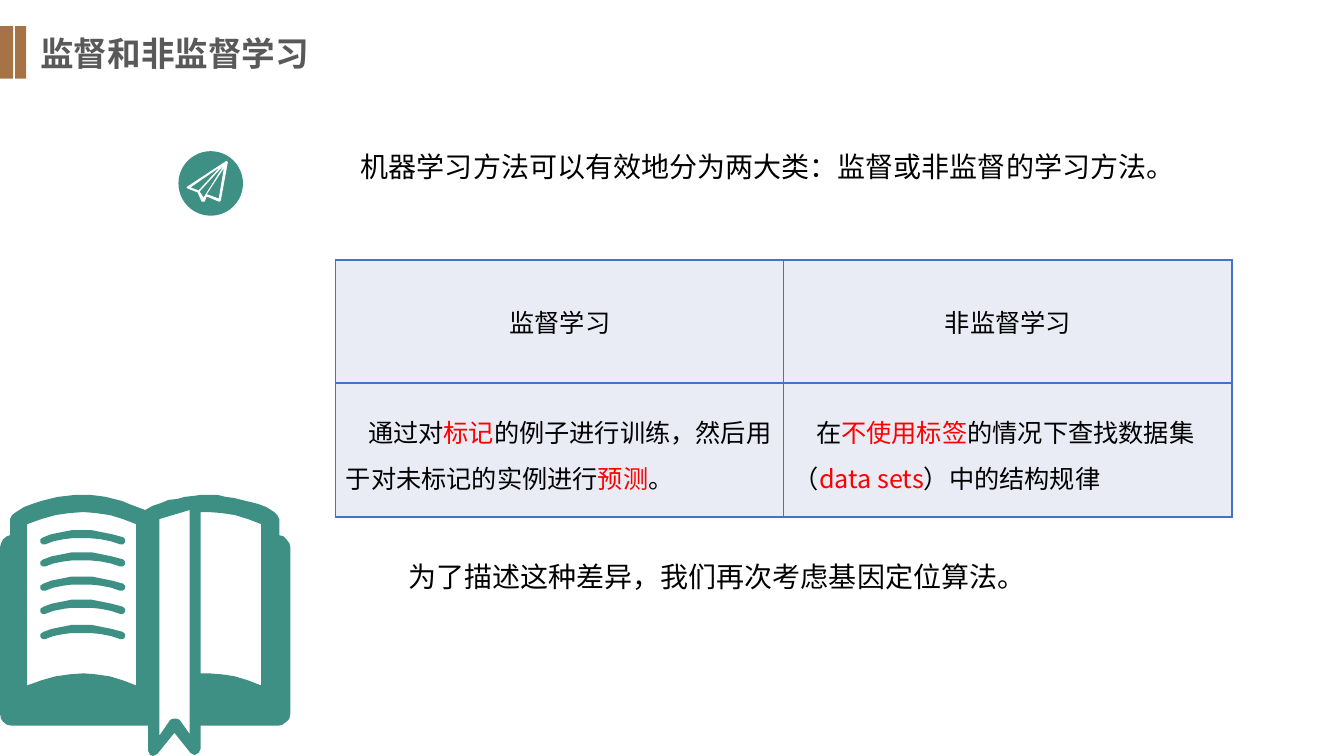
from dataclasses import dataclass

from lxml.etree import SubElement
from pptx import Presentation
from pptx.dml.color import RGBColor
from pptx.enum.shapes import MSO_SHAPE
from pptx.enum.text import MSO_ANCHOR, MSO_AUTO_SIZE, PP_ALIGN
from pptx.oxml.ns import qn
from pptx.util import Inches, Pt


@dataclass(frozen=True)
class Theme:
    font: str = "Noto Sans CJK SC"
    teal: str = "3E8F84"
    brown: str = "A67346"
    title: str = "595959"
    text: str = "000000"
    accent: str = "FF0000"
    border: str = "4472C4"
    cell: str = "E9EBF5"
    white: str = "FFFFFF"
    title_size: int = 24
    body_size: int = 20
    cell_size: int = 18


THEME = Theme()
HUNDREDTH = Inches(0.01)


def color(value):
    return RGBColor.from_string(value)


def paint(shape, fill):
    shape.shadow.inherit = False
    shape.fill.solid()
    shape.fill.fore_color.rgb = color(fill)
    shape.line.fill.background()


def style(paragraph, size, ink=THEME.text, bold=False, indent=0, spacing=None):
    font = paragraph.font
    font.name, font.size, font.bold = THEME.font, Pt(size), bold
    font.color.rgb = color(ink)
    properties = paragraph._p.get_or_add_pPr()
    SubElement(properties.find(qn("a:defRPr")), qn("a:ea"), typeface=THEME.font)
    properties.set("indent", str(Inches(indent)))
    properties.set("marL", "0")
    paragraph.line_spacing = spacing


def draw_outline(slide, left, top, contours, fill):
    first, *others = contours
    builder = slide.shapes.build_freeform(*first[0], scale=HUNDREDTH)
    builder.add_line_segments(first[1:], close=True)
    for contour in others:
        builder.move_to(*contour[0])
        builder.add_line_segments(contour[1:], close=True)
    paint(builder.convert_to_shape(Inches(left), Inches(top)), fill)


def add_heading(slide, left, top, height):
    for offset, width in ((0, 0.13), (0.15, 0.11)):
        bar = slide.shapes.add_shape(
            MSO_SHAPE.RECTANGLE, Inches(left + offset), Inches(top), Inches(width), Inches(height))
        paint(bar, THEME.brown)
    heading = slide.shapes.title
    heading.left, heading.top = Inches(left + 0.3), Inches(top + 0.02)
    heading.width, heading.height = Inches(3.3), Inches(0.5)
    frame = heading.text_frame
    frame.text = "监督和非监督学习"
    frame.auto_size = MSO_AUTO_SIZE.NONE
    frame.vertical_anchor = MSO_ANCHOR.TOP
    frame.paragraphs[0].alignment = PP_ALIGN.LEFT
    style(frame.paragraphs[0], THEME.title_size, THEME.title, bold=True)


def add_statement(slide, left, top, width, height, words):
    statement = slide.shapes.add_shape(
        MSO_SHAPE.RECTANGLE, Inches(left), Inches(top), Inches(width), Inches(height))
    statement.shadow.inherit = False
    statement.fill.background()
    statement.line.color.rgb = color(THEME.white)
    statement.line.width = Pt(0.75)
    frame = statement.text_frame
    frame.word_wrap = True
    frame.vertical_anchor = MSO_ANCHOR.TOP
    frame.text = words
    frame.paragraphs[0].alignment = PP_ALIGN.LEFT
    style(frame.paragraphs[0], THEME.body_size, indent=0.99, spacing=1.25)


def add_plane_badge(slide, left, top, diameter):
    badge = slide.shapes.add_shape(
        MSO_SHAPE.OVAL, Inches(left), Inches(top), Inches(diameter), Inches(diameter))
    paint(badge, THEME.teal)
    plane = [
        [(40, 0), (39, 0), (1, 25), (0, 26), (1, 27), (11, 31), (15, 40), (17, 40),
         (18, 40), (20, 35), (32, 40), (33, 40), (34, 39), (41, 1)],
        [(4, 26), (33, 6), (12, 29)],
        [(13, 30), (37, 4), (17, 36)],
        [(32, 37), (21, 33), (20, 33), (37, 7)],
    ]
    draw_outline(slide, left + 0.08, top + 0.1, plane, THEME.white)


def text_line(top):
    upper = [(43, 7), (51, 4), (61, 2), (71, 0), (81, 0), (91, 0), (101, 2), (111, 4), (122, 7),
             (124, 9), (124, 12), (122, 14), (119, 14)]
    lower = [(110, 11), (100, 9), (90, 8), (81, 8), (71, 8), (63, 9), (53, 11), (45, 14),
             (42, 14), (40, 12), (40, 9)]
    return [(x, y + top) for x, y in upper + lower]


def add_book(slide, left, top):
    cover = [
        (277, 40), (281, 41), (284, 44), (287, 48), (288, 52), (288, 217), (287, 222), (284, 225),
        (280, 228), (276, 229), (199, 229), (199, 252), (197, 256), (193, 258), (189, 256),
        (173, 236), (156, 257), (152, 259), (149, 258), (147, 254), (147, 229), (12, 229),
        (7, 228), (3, 225), (1, 222), (0, 217), (0, 52), (1, 48), (3, 44), (7, 41), (10, 40),
        (10, 24), (12, 20), (16, 17), (24, 12), (32, 9), (41, 6), (49, 4), (57, 2), (66, 1),
        (74, 0), (83, 0), (90, 0), (98, 1), (105, 2), (113, 4), (121, 6), (128, 9), (144, 15),
        (151, 11), (160, 8), (167, 5), (176, 4), (183, 2), (192, 1), (199, 0), (207, 0),
        (216, 0), (224, 2), (232, 3), (240, 5), (248, 7), (256, 9), (264, 12), (272, 17),
        (275, 20), (277, 24),
    ]
    ribbon = [(158, 24), (158, 239), (169, 223), (172, 222), (175, 222), (178, 223),
              (188, 237), (188, 15)]
    left_edge = [(27, 29), (41, 24), (55, 20), (69, 18), (83, 17), (95, 18), (109, 20),
                 (122, 24), (135, 29)]
    right_edge = [(199, 17), (207, 17), (220, 18), (233, 20), (246, 24), (259, 29)]
    pages = [edge + [(x, y + 160) for x, y in reversed(edge)] for edge in (left_edge, right_edge)]
    lines = [text_line(y) for y in (35, 57, 81, 104, 129)]
    draw_outline(slide, left, top, [cover, ribbon, *pages, *lines], THEME.teal)


def format_cell(cell, runs, is_header):
    cell.fill.solid()
    cell.fill.fore_color.rgb = color(THEME.cell)
    cell.vertical_anchor = MSO_ANCHOR.MIDDLE
    paragraph = cell.text_frame.paragraphs[0]
    if is_header:
        paragraph.alignment = PP_ALIGN.CENTER
        style(paragraph, THEME.cell_size)
    else:
        style(paragraph, THEME.cell_size, indent=0.22, spacing=1.25)
    for words, ink in runs:
        run = paragraph.add_run()
        run.text = words
        run.font.color.rgb = color(ink)
    properties = cell._tc.get_or_add_tcPr()
    for position, side in enumerate(("lnL", "lnR", "lnT", "lnB")):
        border = SubElement(properties, qn(f"a:{side}"), w=str(Pt(1)))
        SubElement(SubElement(border, qn("a:solidFill")), qn("a:srgbClr"), val=THEME.border)
        properties.insert(position, border)


def add_comparison(slide, left, top, width, row_heights):
    plain, accent = THEME.text, THEME.accent
    rows = [
        [[("监督学习", plain)], [("非监督学习", plain)]],
        [[("通过对", plain), ("标记", accent), ("的例子进行训练，然后用于对未标记的实例进行", plain),
          ("预测", accent), ("。", plain)],
         [("在", plain), ("不使用标签", accent), ("的情况下查找数据集（", plain),
          ("data sets", accent), ("）中的结构规律", plain)]],
    ]
    comparison = slide.shapes.add_table(
        2, 2, Inches(left), Inches(top), Inches(width), Inches(sum(row_heights))).table
    for row_index, (row, height) in enumerate(zip(rows, row_heights)):
        comparison.rows[row_index].height = Inches(height)
        for column_index, runs in enumerate(row):
            format_cell(comparison.cell(row_index, column_index), runs, row_index == 0)


def main():
    deck = Presentation()
    deck.slide_width, deck.slide_height = Inches(13.33), Inches(7.5)
    slide = deck.slides.add_slide(deck.slide_layouts[5])
    add_heading(slide, 0, 0.26, 0.52)
    add_book(slide, 0, 4.91)
    add_statement(slide, 2.49, 1.35, 9.89, 0.56, "机器学习方法可以有效地分为两大类：监督或非监督的学习方法。")
    add_plane_badge(slide, 1.77, 1.5, 0.64)
    add_comparison(slide, 3.33, 2.58, 8.89, (1.22, 1.33))
    add_statement(slide, 2.96, 5.42, 9.89, 0.48, "为了描述这种差异，我们再次考虑基因定位算法。")
    deck.save("out.pptx")


if __name__ == "__main__":
    main()
